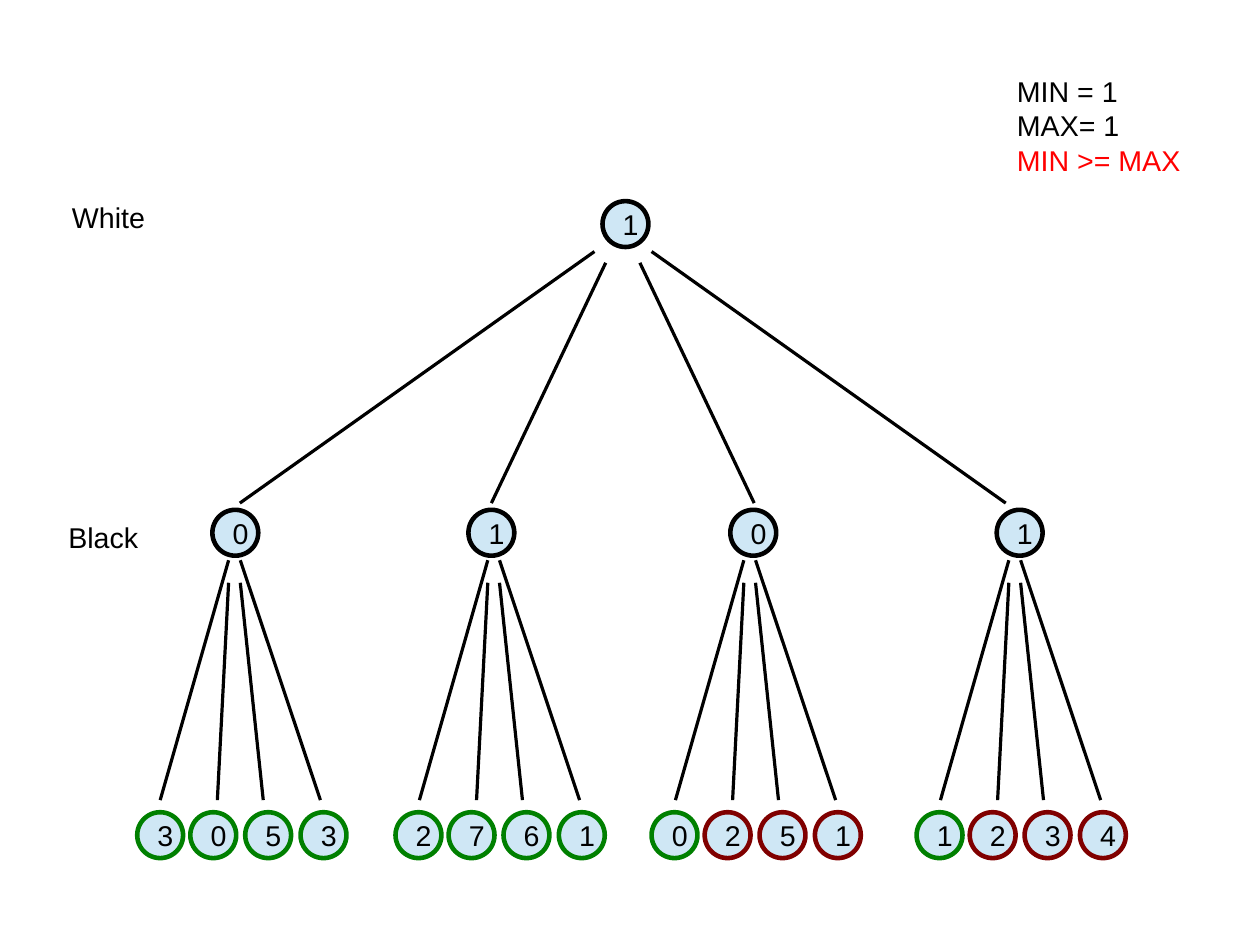
from pptx import Presentation
from pptx.dml.color import RGBColor
from pptx.enum import shapes, text
from pptx.oxml.ns import qn
from pptx.util import Cm, Pt
from lxml import etree

BLACK, GREEN, MAROON, RED, PALE = "000000", "008000", "800000", "FF0000", "CFE7F5"
SIZE = 1.02
STEPS = [0, 1.18, 2.4, 3.63]
FAN = [(0, 1.52, 12.45), (1.27, 1.52, 12.95), (2.29, 1.78, 12.95), (3.56, 1.78, 12.45)]
ROOT = [(5.33, 13.21, 5.59), (10.92, 13.46, 5.84), (16.76, 14.22, 5.84), (22.35, 14.48, 5.59)]
TREE = [
    ("0", 4.72, 3.05, 3.56, "3053", 4),
    ("1", 10.41, 8.79, 9.32, "2761", 4),
    ("0", 16.23, 14.48, 15.01, "0251", 1),
    ("1", 22.15, 20.37, 20.9, "1234", 1),
]


def color(code):
    return RGBColor.from_string(code)


def write(para, words, ink=BLACK, size=18, align=text.PP_ALIGN.LEFT):
    para.alignment = align
    run = para.add_run()
    run.text = words
    run.font.name = "Arial"
    run.font.size = Pt(size)
    run.font.color.rgb = color(ink)


def node(slide, x, y, value, edge=BLACK):
    disc = slide.shapes.add_shape(
        shapes.MSO_SHAPE.OVAL, Cm(x), Cm(y), Cm(SIZE), Cm(SIZE))
    disc.shadow.inherit = False
    disc.fill.solid()
    disc.fill.fore_color.rgb = color(PALE)
    disc.line.color.rgb = color(edge)
    disc.line.width = Pt(2.89)
    frame = disc.text_frame
    frame.margin_left = frame.margin_right = Cm(0.3)
    frame.margin_top = frame.margin_bottom = Cm(0.18)
    frame.vertical_anchor = text.MSO_ANCHOR.MIDDLE
    write(frame.paragraphs[0], value, align=text.PP_ALIGN.CENTER)


def branch(slide, x1, y1, x2, y2):
    line = slide.shapes.add_connector(
        shapes.MSO_CONNECTOR.STRAIGHT, Cm(x1), Cm(y1), Cm(x2), Cm(y2))
    line.line.color.rgb = color(BLACK)
    line.line.width = Pt(0)
    etree.SubElement(line._element.spPr, qn("a:effectLst"))


def label(slide, x, y, w, h, rows):
    box = slide.shapes.add_textbox(Cm(x), Cm(y), Cm(w), Cm(h))
    frame = box.text_frame
    frame.word_wrap = False
    frame.auto_size = text.MSO_AUTO_SIZE.SHAPE_TO_FIT_TEXT
    for i, (words, ink) in enumerate(rows):
        para = frame.add_paragraph() if i else frame.paragraphs[0]
        write(para, words, ink=ink)


def main():
    deck = Presentation()
    deck.slide_width, deck.slide_height = Cm(28), Cm(21)
    slide = deck.slides.add_slide(deck.slide_layouts[6])

    for value, x, left, fan, leaves, seen in TREE:
        node(slide, x, 11.33, value)
        for i, (step, leaf) in enumerate(zip(STEPS, leaves)):
            node(slide, left + step, 18.05, leaf, GREEN if i < seen else MAROON)
        for low, high, top in FAN:
            branch(slide, fan + low, 17.78, fan + high, top)

    node(slide, 13.39, 4.47, "1")
    for low, high, top in ROOT:
        branch(slide, low, 11.18, high, top)

    label(slide, 1.35, 4.32, 2.13, 0.97, [("White", BLACK)])
    label(slide, 1.27, 11.43, 2.06, 0.97, [("Black", BLACK)])
    label(slide, 22.35, 1.52, 4.14, 2.39,
          [("MIN = 1", BLACK), ("MAX= 1", BLACK), ("MIN >= MAX", RED)])
    deck.save("out.pptx")


if __name__ == "__main__":
    main()
